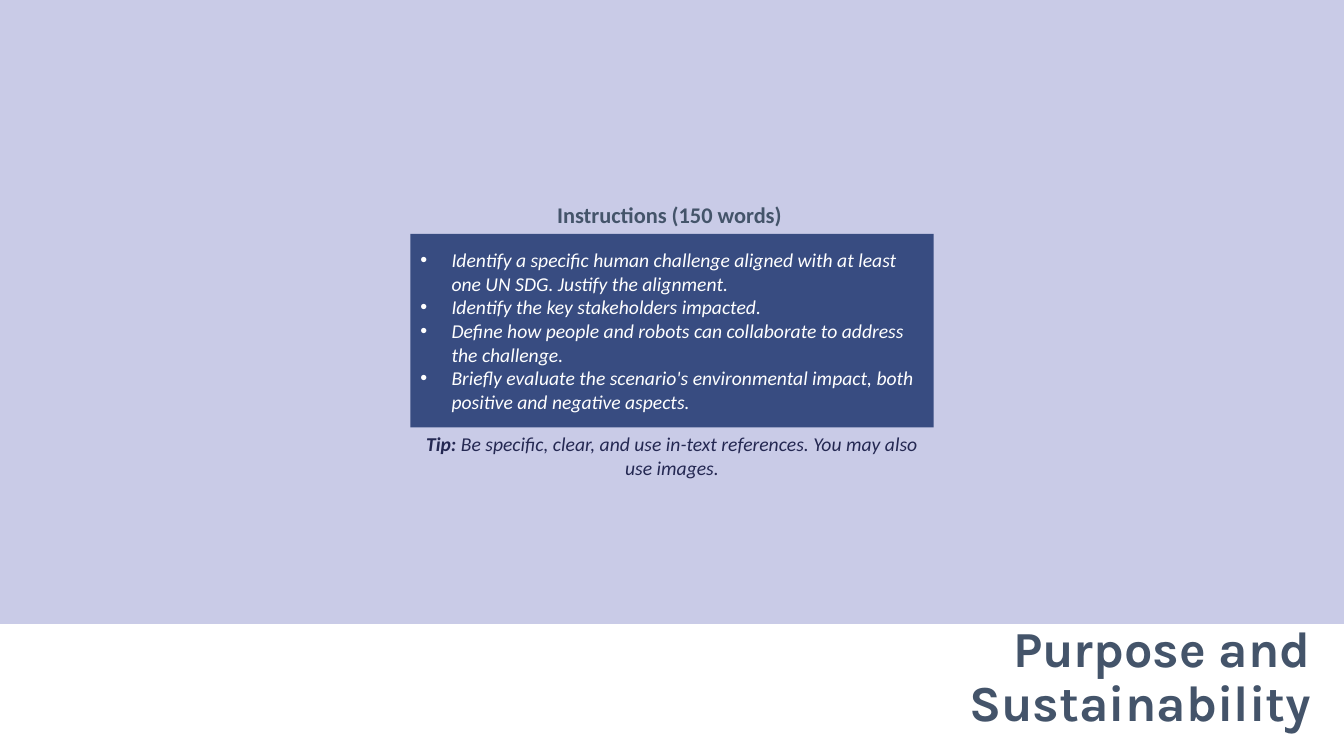
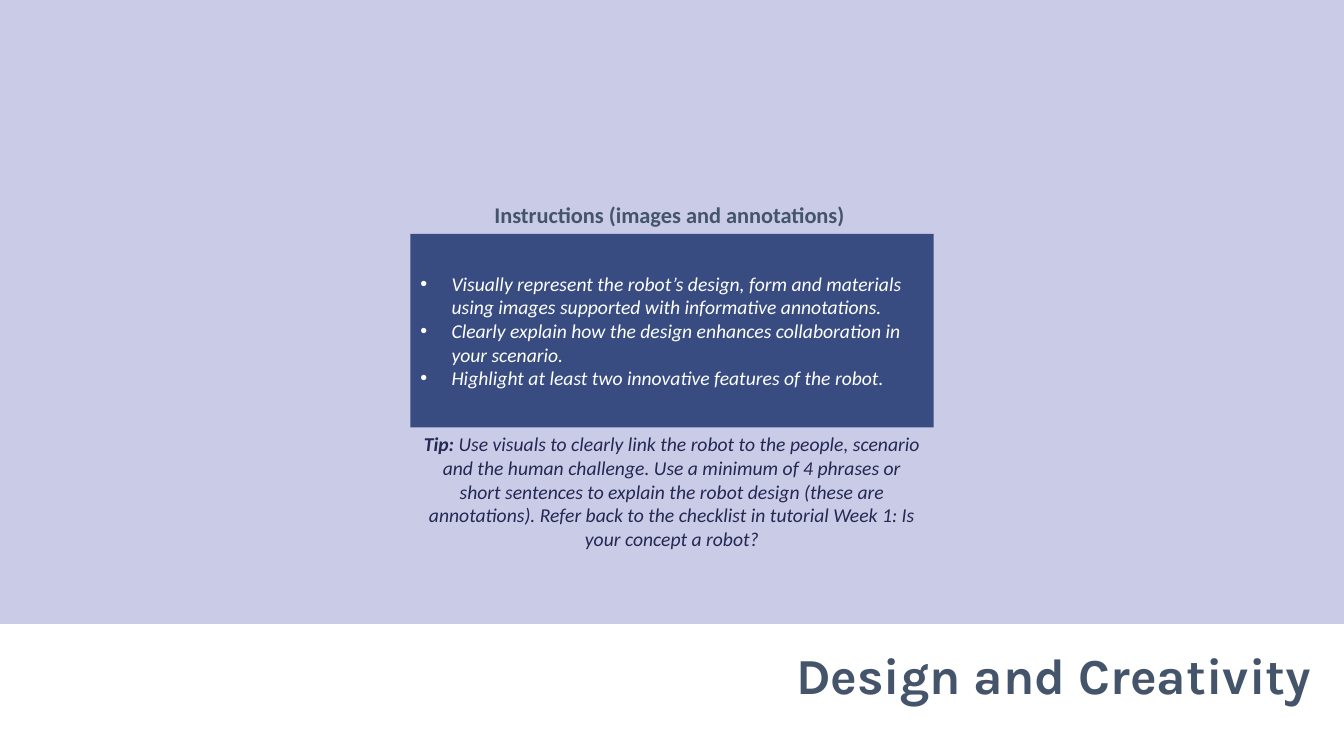
from dataclasses import dataclass

from lxml.etree import SubElement
from pptx import Presentation
from pptx.dml.color import RGBColor
from pptx.enum.shapes import MSO_SHAPE
from pptx.enum.text import MSO_ANCHOR, PP_ALIGN
from pptx.oxml.ns import qn
from pptx.util import Inches, Pt


@dataclass(frozen=True)
class Theme:
    field: str = "C9CBE7"
    panel: str = "384C81"
    slate: str = "44546A"
    navy: str = "242852"
    white: str = "FFFFFF"
    body: str = "Calibri"
    head: str = "Karla"
    large: int = 36
    mid: int = 16
    small: int = 14


THEME = Theme()
WIDE, HIGH = 13.33, 7.5
BAND = (0, 0, WIDE, 6.19)
TITLE = (6.51, 6.38, 6.59, 0.7)
CARD = (4.07, 1.95, 5.19, 2.29)

TITLE_FONT = {"name": THEME.head, "size": Pt(THEME.large), "bold": True,
              "color": THEME.slate}
HEAD_FONT = {"name": THEME.body, "size": Pt(THEME.mid), "bold": True,
             "color": THEME.slate}
LIST_FONT = {"name": THEME.body, "size": Pt(THEME.small), "italic": True,
             "color": THEME.white}
TIP_FONT = {"name": THEME.body, "size": Pt(THEME.small), "italic": True,
            "color": THEME.navy}

PAGES = [
    {
        "title": "Purpose and Sustainability",
        "head": "Instructions (150 words) ",
        "inset": 0.45,
        "items": [
            "Identify a specific human challenge aligned with at least one UN SDG. Justify the alignment.",
            "Identify the key stakeholders impacted.",
            "Define how people and robots can collaborate to address the challenge.",
            "Briefly evaluate the scenario's environmental impact, both positive and negative aspects.",
        ],
        "tip": "Be specific, clear, and use in-text references. You may also use images.",
        "depth": 0.57,
    },
    {
        "title": "Design and Creativity",
        "head": "Instructions (images and annotations) ",
        "inset": 0,
        "items": [
            "Visually represent the robot’s design, form and materials using images supported with informative annotations.",
            "Clearly explain how the design enhances collaboration in your scenario.",
            "Highlight at least two innovative features of the robot.",
        ],
        "tip": "Use visuals to clearly link the robot to the people, scenario and the human challenge. "
               "Use a minimum of 4 phrases or short sentences to explain the robot design (these are annotations). "
               "Refer back to the checklist in tutorial Week 1: Is your concept a robot?",
        "depth": 1.28,
    },
]


def add_rect(shapes, box, fill):
    rect = shapes.add_shape(MSO_SHAPE.RECTANGLE, *map(Inches, box))
    rect.shadow.inherit = False
    rect.fill.solid()
    rect.fill.fore_color.rgb = RGBColor.from_string(fill)
    rect.line.fill.background()
    return rect


def set_frame(shape, anchor):
    frame = shape.text_frame
    frame.word_wrap = True
    frame.vertical_anchor = anchor
    return frame


def add_run(para, text, font):
    run = para.add_run()
    run.text = text
    for key, value in font.items():
        if key == "color":
            run.font.color.rgb = RGBColor.from_string(value)
        else:
            setattr(run.font, key, value)


def set_bullet(para):
    props = para._p.get_or_add_pPr()
    for key, value in {"marL": 0.31, "indent": -0.31}.items():
        props.set(key, str(Inches(value)))
    SubElement(props, qn("a:buFont")).set("typeface", "Arial")
    SubElement(props, qn("a:buChar")).set("char", "•")


def add_title(shapes, box, text):
    label = shapes.add_textbox(*map(Inches, box))
    para = set_frame(label, MSO_ANCHOR.MIDDLE).paragraphs[0]
    para.alignment = PP_ALIGN.RIGHT
    para.line_spacing = 0.9
    add_run(para, text, TITLE_FONT)


def add_list(shapes, box, items):
    panel = add_rect(shapes, box, THEME.panel)
    frame = set_frame(panel, MSO_ANCHOR.MIDDLE)
    for index, item in enumerate(items):
        para = frame.add_paragraph() if index else frame.paragraphs[0]
        para.alignment = PP_ALIGN.LEFT
        set_bullet(para)
        add_run(para, item, LIST_FONT)


def add_head(shapes, box, text):
    label = add_rect(shapes, box, THEME.field)
    para = set_frame(label, MSO_ANCHOR.MIDDLE).paragraphs[0]
    para.alignment = PP_ALIGN.CENTER
    add_run(para, text, HEAD_FONT)


def add_tip(shapes, box, text):
    note = shapes.add_textbox(*map(Inches, box))
    para = set_frame(note, MSO_ANCHOR.TOP).paragraphs[0]
    para.alignment = PP_ALIGN.CENTER
    add_run(para, "Tip: ", {**TIP_FONT, "bold": True})
    add_run(para, text, {**TIP_FONT, "bold": False})


def add_card(slide, box, page):
    left, top, width, height = box
    strip, inset = 0.37, page["inset"]
    shapes = slide.shapes.add_group_shape().shapes
    add_list(shapes, (left, top + strip, width, height - strip), page["items"])
    add_head(shapes, (left + inset, top, width - 2 * inset, strip - 0.01), page["head"])
    add_tip(shapes, (left, top + height, width, page["depth"]), page["tip"])


def add_page(deck, page):
    slide = deck.slides.add_slide(deck.slide_layouts[6])
    add_rect(slide.shapes, BAND, THEME.field)
    add_title(slide.shapes, TITLE, page["title"])
    add_card(slide, CARD, page)


def main():
    deck = Presentation()
    deck.slide_width, deck.slide_height = Inches(WIDE), Inches(HIGH)
    for page in PAGES:
        add_page(deck, page)
    deck.save("out.pptx")


if __name__ == "__main__":
    main()
